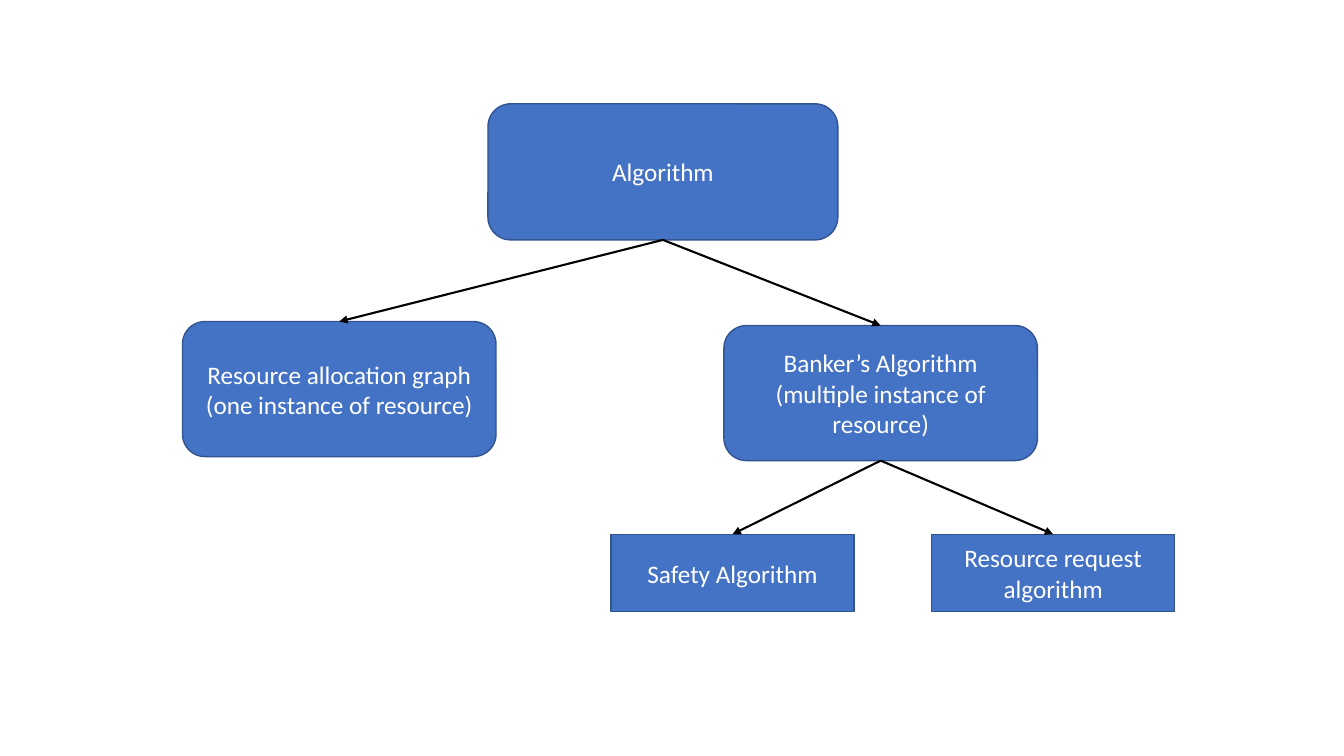
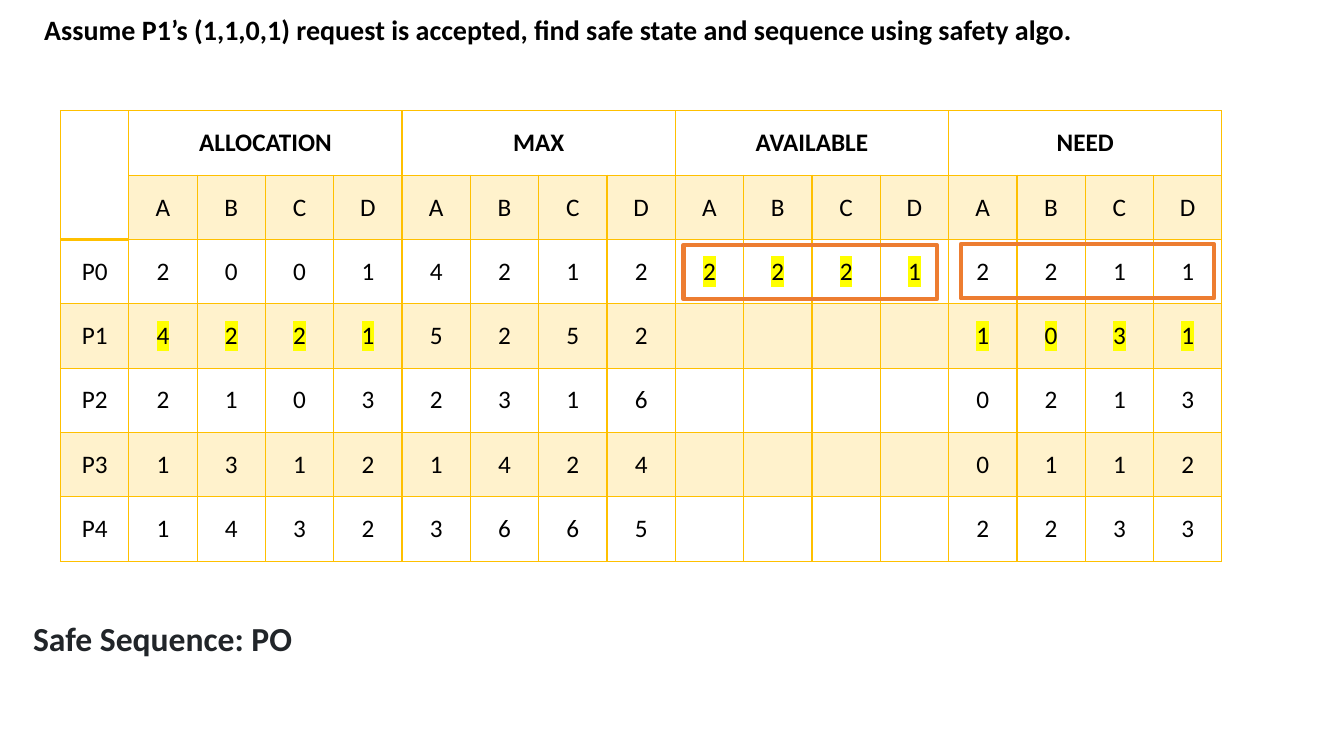
"""Build two slides on deadlock algorithms: a tree and a safety table."""
from pptx import Presentation
from pptx.dml.color import RGBColor
from pptx.enum.shapes import MSO_CONNECTOR as Link, MSO_SHAPE as Shape
from pptx.enum.text import MSO_ANCHOR as Anchor, PP_ALIGN as Align
from pptx.oxml.ns import qn
from pptx.util import Inches, Pt
from lxml.etree import SubElement, Element

FONT = "Calibri"
BLUE, NAVY, BLACK, WHITE = "4472C4", "325491", "000000", "FFFFFF"
GOLD, CREAM, ORANGE, YELLOW, INK = "FFC000", "FFF2CC", "ED7D31", "FFFF00", "212529"

NODES = {
    "root": (Shape.ROUNDED_RECTANGLE, (4.84, 1.03, 3.47, 1.35), "Algorithm"),
    "graph": (Shape.ROUNDED_RECTANGLE, (1.81, 3.19, 3.11, 1.34),
              "Resource allocation graph\n(one instance of resource)"),
    "banker": (Shape.ROUNDED_RECTANGLE, (7.18, 3.23, 3.11, 1.34),
               "Banker’s Algorithm\n(multiple instance of resource)"),
    "safety": (Shape.RECTANGLE, (6.06, 5.3, 2.41, 0.77), "Safety Algorithm"),
    "request": (Shape.RECTANGLE, (9.24, 5.3, 2.41, 0.77), "Resource request algorithm"),
}
ARROWS = [("root", "graph"), ("root", "banker"), ("banker", "safety"), ("banker", "request")]

TITLE = "Assume P1’s (1,1,0,1) request is accepted, find safe state and sequence using safety algo."
RESULT = "Safe Sequence: PO"
GROUPS = ["ALLOCATION", "MAX", "AVAILABLE", "NEED"]
RESOURCES = "ABCD"
PROCESSES = [
    ("P0", "2001", "4212", "2221", "2211"),
    ("P1", "4221", "5252", "", "1031"),
    ("P2", "2103", "2316", "", "0213"),
    ("P3", "1312", "1424", "", "0112"),
    ("P4", "1432", "3665", "", "2233"),
]
HIGHLIGHTED = {("P0", "AVAILABLE"), ("P1", "ALLOCATION"), ("P1", "NEED")}
TABLE_AREA = (0.6, 1.1, 11.52, 4.47)
FRAMES = [(6.78, 2.43, 2.51, 0.54), (9.53, 2.42, 2.51, 0.54)]


def rgb(code):
    return RGBColor.from_string(code)


def place(area):
    return [Inches(length) for length in area]


def write(frame, text, size, color, bold=False, align=Align.LEFT):
    frame.text = text
    for para in frame.paragraphs:
        para.alignment = align
        for span in para.runs:
            span.font.name, span.font.size, span.font.bold = FONT, Pt(size), bold
            span.font.color.rgb = rgb(color)


def add_box(page, kind, area, line, width, fill=None):
    box = page.shapes.add_shape(kind, *place(area))
    box.shadow.inherit = False
    box.line.color.rgb, box.line.width = rgb(line), Pt(width)
    if fill:
        box.fill.solid()
        box.fill.fore_color.rgb = rgb(fill)
    else:
        box.fill.background()
    return box


def add_label(page, area, text, size, color, anchor):
    frame = page.shapes.add_textbox(*place(area)).text_frame
    frame.word_wrap, frame.vertical_anchor = True, anchor
    write(frame, text, size, color, bold=True)
    return frame


def add_arrow(page, parent, child):
    arrow = page.shapes.add_connector(Link.STRAIGHT, 0, 0, 0, 0)
    arrow.begin_connect(parent, 2)
    arrow.end_connect(child, 0)
    arrow.line.color.rgb, arrow.line.width = rgb(BLACK), Pt(1.5)
    properties = arrow.element.spPr
    SubElement(properties.find(qn("a:ln")), qn("a:tailEnd"), type="triangle")
    SubElement(properties, qn("a:effectLst"))


def add_borders(cell, bottom):
    properties = cell._tc.get_or_add_tcPr()
    for side, width in (("L", 1), ("R", 1), ("T", 1), ("B", bottom)):
        line = SubElement(properties, qn(f"a:ln{side}"), w=str(Pt(width)))
        SubElement(SubElement(line, qn("a:solidFill")), qn("a:srgbClr"), val=GOLD)


def highlight(cell):
    for span in cell.text_frame.paragraphs[0].runs:
        mark = Element(qn("a:highlight"))
        SubElement(mark, qn("a:srgbClr"), val=YELLOW)
        span.font._element.find(qn("a:solidFill")).addnext(mark)


def table_rows():
    count = len(RESOURCES)
    header = [""] + [text for name in GROUPS for text in [name] + [""] * (count - 1)]
    rows = [header, [""] + list(RESOURCES) * len(GROUPS)]
    for process, *values in PROCESSES:
        rows.append([process] + [digit for part in values for digit in part.ljust(count)])
    return rows


def add_table(page):
    rows, count = table_rows(), len(RESOURCES)
    left, top, width, height = place(TABLE_AREA)
    table = page.shapes.add_table(len(rows), len(rows[0]), left, top, width, height).table
    table.first_row = table.horz_banding = False
    for column in table.columns:
        column.width = width // len(rows[0])
    for r, row in enumerate(rows):
        table.rows[r].height = height // len(rows)
        for c, text in enumerate(row):
            cell = table.cell(r, c)
            corner = r < 2 and c == 0
            add_borders(cell, 2 if corner else 1)
            if r % 2 and not corner:
                cell.fill.solid()
                cell.fill.fore_color.rgb = rgb(CREAM)
            else:
                cell.fill.background()
            cell.vertical_anchor = Anchor.MIDDLE
            write(cell.text_frame, text.strip(), 18, BLACK, r == 0, Align.CENTER)
            if c and (row[0], GROUPS[(c - 1) // count]) in HIGHLIGHTED:
                highlight(cell)
    table.cell(0, 0).merge(table.cell(1, 0))
    for first in range(1, len(rows[0]), count):
        table.cell(0, first).merge(table.cell(0, first + count - 1))


def build_tree(page):
    boxes = {}
    for name, (kind, area, text) in NODES.items():
        box = boxes[name] = add_box(page, kind, area, NAVY, 1, BLUE)
        box.text_frame.word_wrap = True
        box.text_frame.vertical_anchor = Anchor.MIDDLE
        write(box.text_frame, text, 18, WHITE, align=Align.CENTER)
    for parent, child in ARROWS:
        add_arrow(page, boxes[parent], boxes[child])


def build_safety(page):
    title = add_label(page, (0.34, 0.2, 12.65, 0.23), TITLE, 20, BLACK, Anchor.MIDDLE)
    title.paragraphs[0].line_spacing = 0.9
    add_table(page)
    add_label(page, (0.23, 6.08, 12.46, 0.5), RESULT, 24, INK, Anchor.TOP)
    for area in FRAMES:
        add_box(page, Shape.RECTANGLE, area, ORANGE, 3)


def main():
    deck = Presentation()
    deck.slide_width, deck.slide_height = place((13.33, 7.5))
    for build in (build_tree, build_safety):
        build(deck.slides.add_slide(deck.slide_layouts[6]))
    deck.save("out.pptx")


if __name__ == "__main__":
    main()
